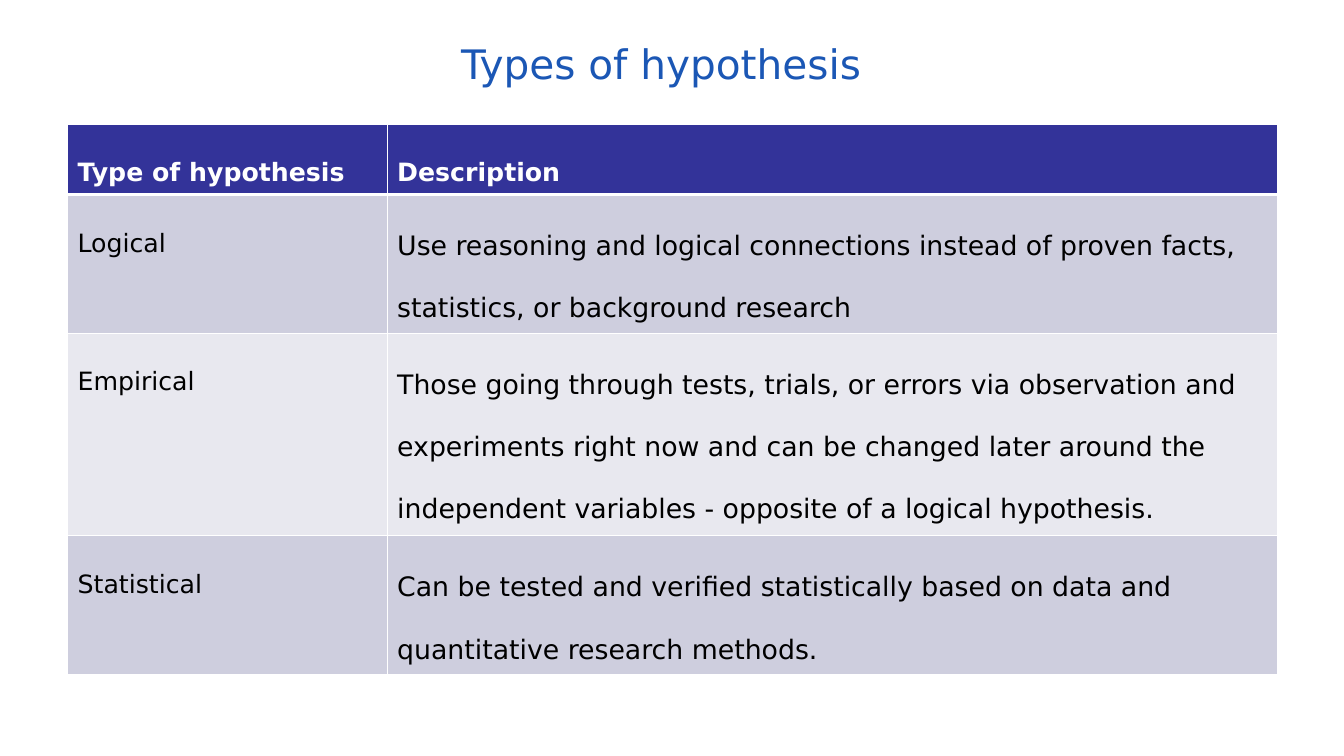
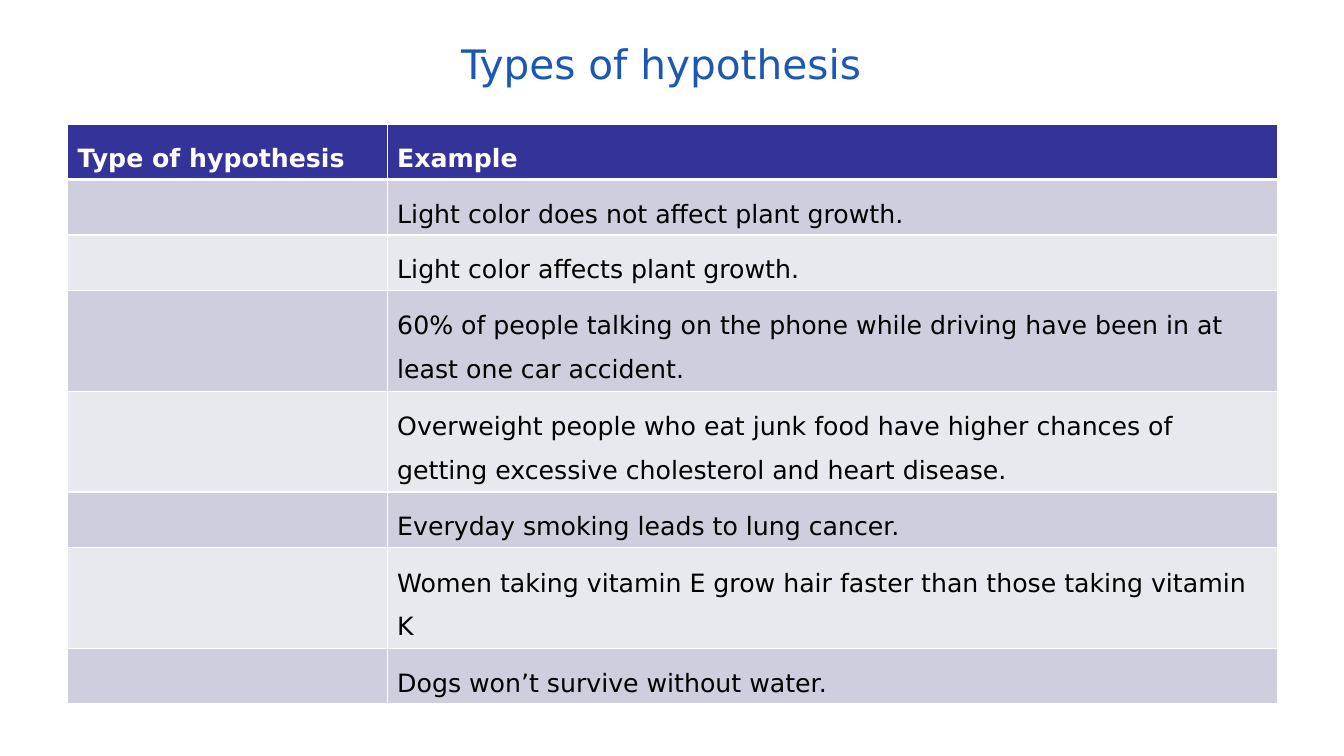
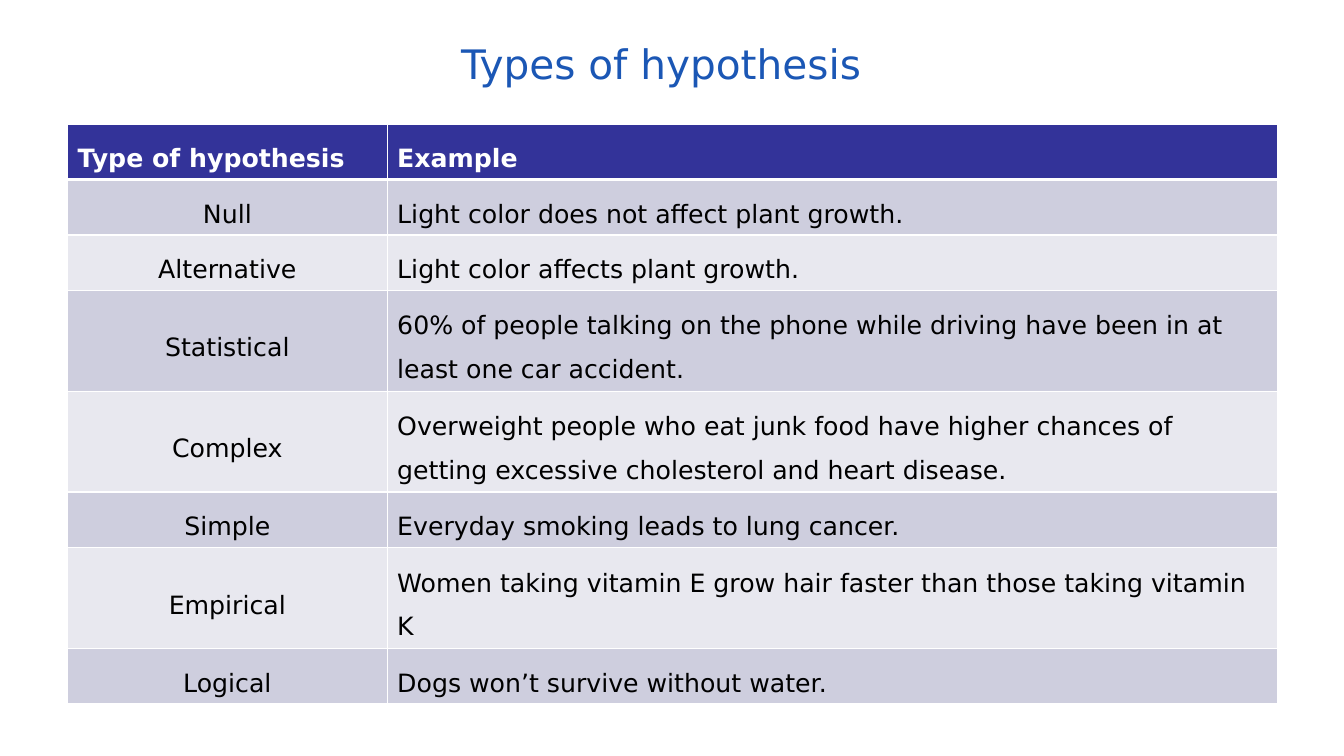
from lxml.etree import SubElement
from pptx import Presentation
from pptx.dml.color import RGBColor
from pptx.enum.text import MSO_ANCHOR as Anchor, PP_ALIGN as Align
from pptx.oxml.ns import qn
from pptx.util import Inches, Pt

TITLE_BLUE = RGBColor(0x1B, 0x57, 0xB5)
HEADER_BLUE = RGBColor(0x33, 0x33, 0x99)
BANDS = RGBColor(0xCE, 0xCE, 0xDE), RGBColor(0xE8, 0xE8, 0xEF)
WHITE = RGBColor(0xFF, 0xFF, 0xFF)
BLACK = RGBColor(0, 0, 0)
FONT = "DejaVu Sans"
TITLE_SIZE, TEXT_SIZE, DESCRIPTION_SIZE = 29, 18, 19.1
THIN_RULE, HEADER_RULE = 1, 3

TITLE_BOX = 0.56, 0.25, 12, 0.75
TABLE_LEFT, TABLE_TOP = 0.67, 1.23
COLUMN_WIDTHS = 3.17, 8.83
ROW_HEIGHT = 0.41

TITLE = "Types of hypothesis"
TYPE_HEADING = "Type of hypothesis"
DESCRIPTIONS = [
    ("Logical", "Use reasoning and logical connections instead of proven facts, "
                "statistics, or background research"),
    ("Empirical", "Those going through tests, trials, or errors via observation and "
                  "experiments right now and can be changed later around the "
                  "independent variables - opposite of a logical hypothesis."),
    ("Statistical", "Can be tested and verified statistically based on data and "
                    "quantitative research methods."),
]
EXAMPLES = [
    ("Null", "Light color does not affect plant growth."),
    ("Alternative", "Light color affects plant growth."),
    ("Statistical", "60% of people talking on the phone while driving have been in at "
                    "least one car accident."),
    ("Complex", "Overweight people who eat junk food have higher chances of getting "
                "excessive cholesterol and heart disease."),
    ("Simple", "Everyday smoking leads to lung cancer."),
    ("Empirical", "Women taking vitamin E grow hair faster than those taking vitamin K"),
    ("Logical", "Dogs won’t survive without water."),
]


def style_paragraph(paragraph, size, color, bold=False):
    """Set the font of every run in a paragraph."""
    for run in paragraph.runs:
        run.font.name = FONT
        run.font.size = Pt(size)
        run.font.color.rgb = color
        run.font.bold = bold


def add_title(slide, box):
    """Place the centred slide title in its box."""
    title = slide.shapes.add_textbox(*map(Inches, box))
    frame = title.text_frame
    frame.word_wrap = True
    frame.vertical_anchor = Anchor.MIDDLE
    frame.margin_left = frame.margin_right = Inches(0.11)
    frame.margin_top = frame.margin_bottom = Inches(0.06)
    frame.text = TITLE
    heading = frame.paragraphs[0]
    heading.alignment = Align.CENTER
    style_paragraph(heading, TITLE_SIZE, TITLE_BLUE)


def add_borders(cell, top, bottom):
    """Draw the white rules around a cell, with widths in points."""
    properties = cell._tc.get_or_add_tcPr()
    for side, width in zip("LRTB", (THIN_RULE, THIN_RULE, top, bottom)):
        rule = SubElement(properties, qn(f"a:ln{side}"), w=str(Pt(width)))
        fill = SubElement(rule, qn("a:solidFill"))
        SubElement(fill, qn("a:srgbClr"), val=str(WHITE))


def fill_cell(cell, text, row, size, spacing, anchor, alignment):
    """Write and colour one cell according to its row."""
    header = row == 0
    add_borders(cell, HEADER_RULE if row == 1 else THIN_RULE,
                HEADER_RULE if header else THIN_RULE)
    cell.fill.solid()
    cell.fill.fore_color.rgb = HEADER_BLUE if header else BANDS[(row - 1) % 2]
    cell.vertical_anchor = anchor
    cell.text_frame.text = text
    paragraph = cell.text_frame.paragraphs[0]
    paragraph.line_spacing = spacing
    paragraph.alignment = Align.LEFT if header else alignment
    style_paragraph(paragraph, TEXT_SIZE if header else size,
                    WHITE if header else BLACK, header)


def add_hypothesis_table(slide, rows, height, sizes, spacing, anchor, type_alignment):
    """Place the two-column table of hypothesis types."""
    frame = slide.shapes.add_table(
        len(rows), len(COLUMN_WIDTHS), Inches(TABLE_LEFT), Inches(TABLE_TOP),
        Inches(sum(COLUMN_WIDTHS)), Inches(ROW_HEIGHT * len(rows)))
    table = frame.table
    for column, width in zip(table.columns, COLUMN_WIDTHS):
        column.width = Inches(width)
    for row, texts in enumerate(rows):
        for column, (text, size, alignment) in enumerate(
                zip(texts, sizes, (type_alignment, Align.LEFT))):
            fill_cell(table.cell(row, column), text, row, size, spacing, anchor, alignment)
    frame.height = Inches(height)


def add_slide(deck):
    """Add a blank slide with the shared title."""
    slide = deck.slides.add_slide(deck.slide_layouts[6])
    add_title(slide, TITLE_BOX)
    return slide


def add_description_slide(deck):
    """Add the slide that describes the types."""
    add_hypothesis_table(add_slide(deck), [(TYPE_HEADING, "Description"), *DESCRIPTIONS],
                         5.07, (TEXT_SIZE, DESCRIPTION_SIZE), 2, Anchor.TOP, Align.LEFT)


def add_example_slide(deck, answered):
    """Add the exercise slide, with or without the answers."""
    examples = [(kind if answered else "", example) for kind, example in EXAMPLES]
    add_hypothesis_table(add_slide(deck), [(TYPE_HEADING, "Example"), *examples],
                         5.53, (TEXT_SIZE, TEXT_SIZE), 1.5, Anchor.MIDDLE, Align.CENTER)


def main():
    """Build and save the deck."""
    deck = Presentation()
    deck.slide_width, deck.slide_height = Inches(13.33), Inches(7.5)
    add_description_slide(deck)
    for answered in (False, True):
        add_example_slide(deck, answered)
    deck.save("out.pptx")


if __name__ == "__main__":
    main()
